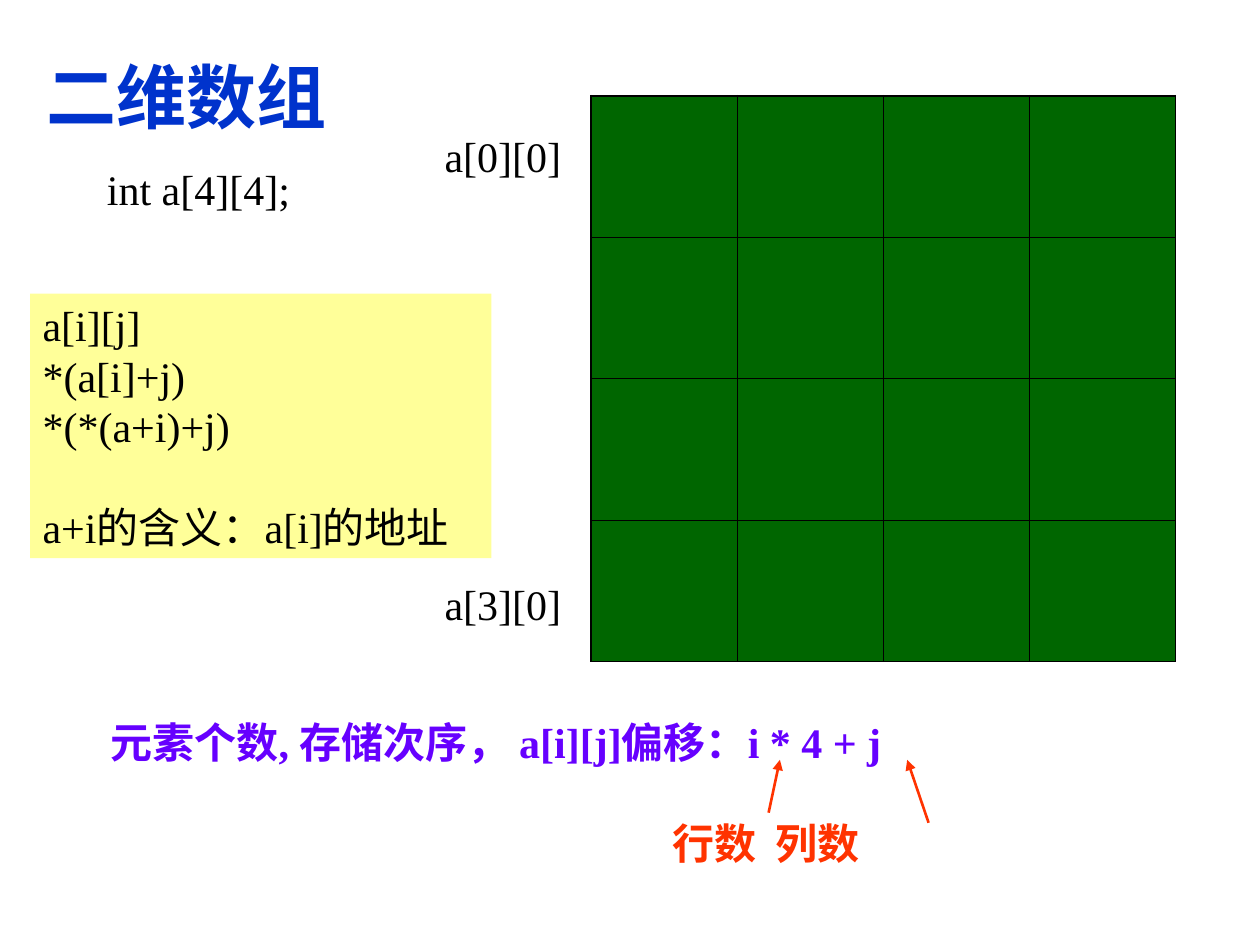
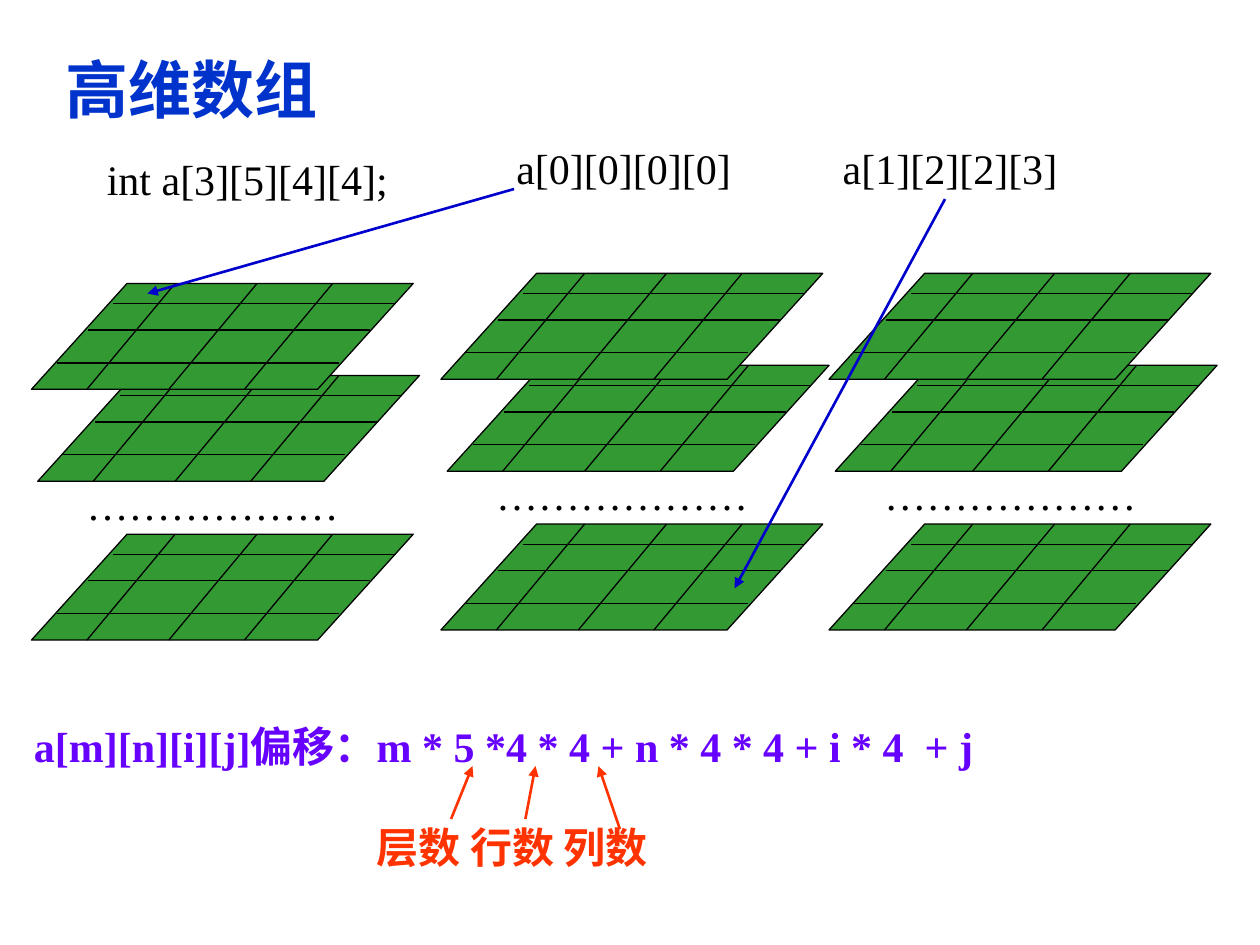
from lxml import etree
from pptx import Presentation
from pptx.dml.color import RGBColor
from pptx.enum.shapes import MSO_CONNECTOR, MSO_SHAPE
from pptx.enum.text import MSO_ANCHOR, MSO_AUTO_SIZE, PP_ALIGN
from pptx.oxml import parse_xml
from pptx.oxml.ns import nsdecls, qn
from pptx.util import Inches, Pt

COLORS = {
    "title": "0033CC", "text": "000000", "offset": "6600FF", "label": "FF3300",
    "note": "FFFF99", "cell": "006600", "layer": "339933", "pointer": "0000CC",
}
LATIN, HAN = "Times New Roman", "Noto Sans CJK SC"


def write(shapes, text, at=None, shape=None, size=24, color="text", bold=False,
          wrap=False, gap=0, indent=0, tab=None):
    """Add one paragraph to shape, or to a new text box, and return the shape."""
    if shape is None:
        shape = shapes.add_textbox(*map(Inches, at))
    elif at:
        shape.left, shape.top, shape.width, shape.height = map(Inches, at)
    frame = shape.text_frame
    frame.word_wrap = wrap
    frame.auto_size = MSO_AUTO_SIZE.NONE
    para = frame.add_paragraph() if frame.text else frame.paragraphs[0]
    props = para._p.get_or_add_pPr()
    props.set("marL", str(Inches(indent)))
    props.set("indent", "0")
    if tab:
        props.append(parse_xml(
            f'<a:tabLst {nsdecls("a")}><a:tab pos="{Inches(tab)}" algn="l"/></a:tabLst>'))
    para.alignment = PP_ALIGN.LEFT
    para.space_before = Pt(gap)
    run = para.add_run()
    run.text = text
    font = run.font
    font.name, font.size, font.bold = LATIN, Pt(size), bold
    font.color.rgb = RGBColor.from_string(COLORS[color])
    etree.SubElement(run._r.rPr, qn("a:ea")).set("typeface", HAN)
    return shape


def draw(shapes, start, end, color="text", width=0.75, arrow=False):
    link = shapes.add_connector(MSO_CONNECTOR.STRAIGHT, *map(Inches, start + end))
    link.line.color.rgb = RGBColor.from_string(COLORS[color])
    link.line.width = Pt(width)
    if arrow:
        etree.SubElement(link.line._get_or_add_ln(), qn("a:tailEnd")).set("type", "triangle")
    etree.SubElement(link._element.spPr, qn("a:effectLst"))


deck = Presentation()
deck.slide_width, deck.slide_height = Inches(10), Inches(7.5)
pages = []
for title, at, size in (
    ("二维数组", (0.27, 0.13, 8.5, 1.25), 40),
    ("高维数组", (0.42, 0.33, 3.33, 0.75), 36),
):
    page = deck.slides.add_slide(deck.slide_layouts[5])
    head = write(page.shapes, title, at, page.shapes.title, size=size,
                 color="title", bold=True, wrap=True)
    head.text_frame.vertical_anchor = MSO_ANCHOR.MIDDLE
    pages.append(page.shapes)
plane, stack = pages

# Two-dimensional array
for text, at in (
    ("int a[4][4];", (0.75, 1.25, 1.65, 0.5)),
    ("a[0][0]", (3.43, 0.99, 1.12, 0.5)),
    ("a[3][0]", (3.43, 4.54, 1.12, 0.5)),
):
    write(plane, text, at)

COUNT = 4
grid = plane.add_table(COUNT, COUNT, *map(Inches, (4.69, 0.76, 4.64, 4.49))).table
for row in range(COUNT):
    for col in range(COUNT):
        cell = grid.cell(row, col)
        props = cell._tc.get_or_add_tcPr()
        edges = {"L": col == 0, "R": col == COUNT - 1,
                 "T": row == 0, "B": row == COUNT - 1}
        for side, outer in edges.items():
            props.append(parse_xml(
                f'<a:ln{side} {nsdecls("a")} w="{Pt(1.08 if outer else 0.45)}"><a:solidFill>'
                f'<a:srgbClr val="{COLORS["text"]}"/></a:solidFill></a:ln{side}>'))
        cell.fill.solid()
        cell.fill.fore_color.rgb = RGBColor.from_string(COLORS["cell"])

note = write(plane, "a[i][j]", (0.24, 2.33, 3.66, 2.1))
note.fill.solid()
note.fill.fore_color.rgb = RGBColor.from_string(COLORS["note"])
for text, gap in (("*(a[i]+j)", 0), ("*(*(a+i)+j)", 0), ("a+i的含义：a[i]的地址", 29)):
    write(plane, text, shape=note, gap=gap)

# Array of higher dimension
for text, at in (
    ("int a[3][5][4][4];", (0.75, 1.17, 2.43, 0.5)),
    ("a[0][0][0][0]", (4, 1.08, 1.9, 0.5)),
    ("a[1][2][2][3]", (6.59, 1.08, 1.9, 0.5)),
):
    write(stack, text, at)

WIDE, HIGH = 3.03, 0.84
for left, top in ((0.25, 2.25), (3.5, 2.17), (6.58, 2.17)):
    group = stack.add_group_shape().shapes
    for right, down in ((0.05, 0.73), (0, 0), (0, 1.99)):
        x, y = left + right, top + down
        layer = group.add_shape(MSO_SHAPE.PARALLELOGRAM, *map(Inches, (x, y, WIDE, HIGH)))
        layer.adjustments[0] = 0.903
        layer.shadow.inherit = False
        layer.fill.solid()
        layer.fill.fore_color.rgb = RGBColor.from_string(COLORS["layer"])
        layer.line.color.rgb = RGBColor.from_string(COLORS["text"])
        layer.line.width = Pt(0.75)
        for dx, dy in ((0.65, 0.16), (0.45, 0.37), (0.2, 0.63)):
            draw(group, (x + dx, y + dy), (x + dx + 2.24, y + dy))
        for dx in (1.14, 1.79, 2.39):
            draw(group, (x + dx, y), (x + dx - 0.7, y + HIGH))
    write(group, "………………", (left + 0.34, top + 1.5, 2.2, 0.5))

for start, end in (((4.08, 1.5), (1.17, 2.33)), ((7.5, 1.58), (5.83, 4.67))):
    draw(stack, start, end, "pointer", 1.5, True)

# Offset formulas with their labelled factors
for shapes, rule, at, tab, label, indent, arrows in (
    (plane, "元素个数,\t存储次序， a[i][j]偏移：i * 4 + j", (0.78, 5.64, 7.2, 1.3), 1.82,
     "行数  列数", 4.46,
     (((6.1, 6.45), (6.19, 6.03)), ((7.37, 6.53), (7.2, 6.03)))),
    (stack, "a[m][n][i][j]偏移：m * 5 *4 * 4 + n * 4 * 4 + i * 4  + j",
     (0.17, 5.67, 8.2, 1.3), None, "层数 行数 列数", 2.72,
     (((3.58, 6.5), (3.75, 6.08)), ((4.17, 6.5), (4.25, 6.08)),
      ((4.92, 6.58), (4.75, 6.08)))),
):
    box = write(shapes, rule, at, color="offset", bold=True, wrap=True, tab=tab)
    write(shapes, label, shape=box, color="label", bold=True, wrap=True,
          gap=29, indent=indent)
    for start, end in arrows:
        draw(shapes, start, end, "label", 1.5, True)

deck.save("out.pptx")
